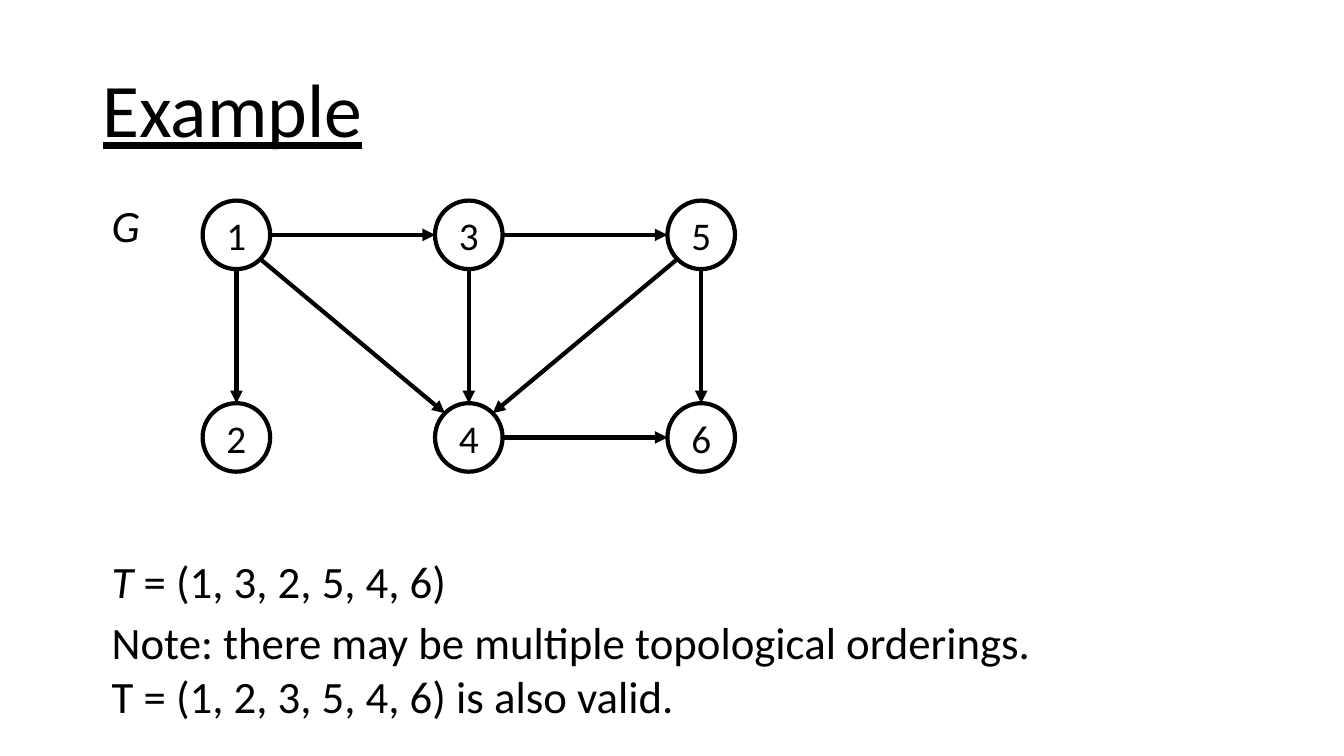
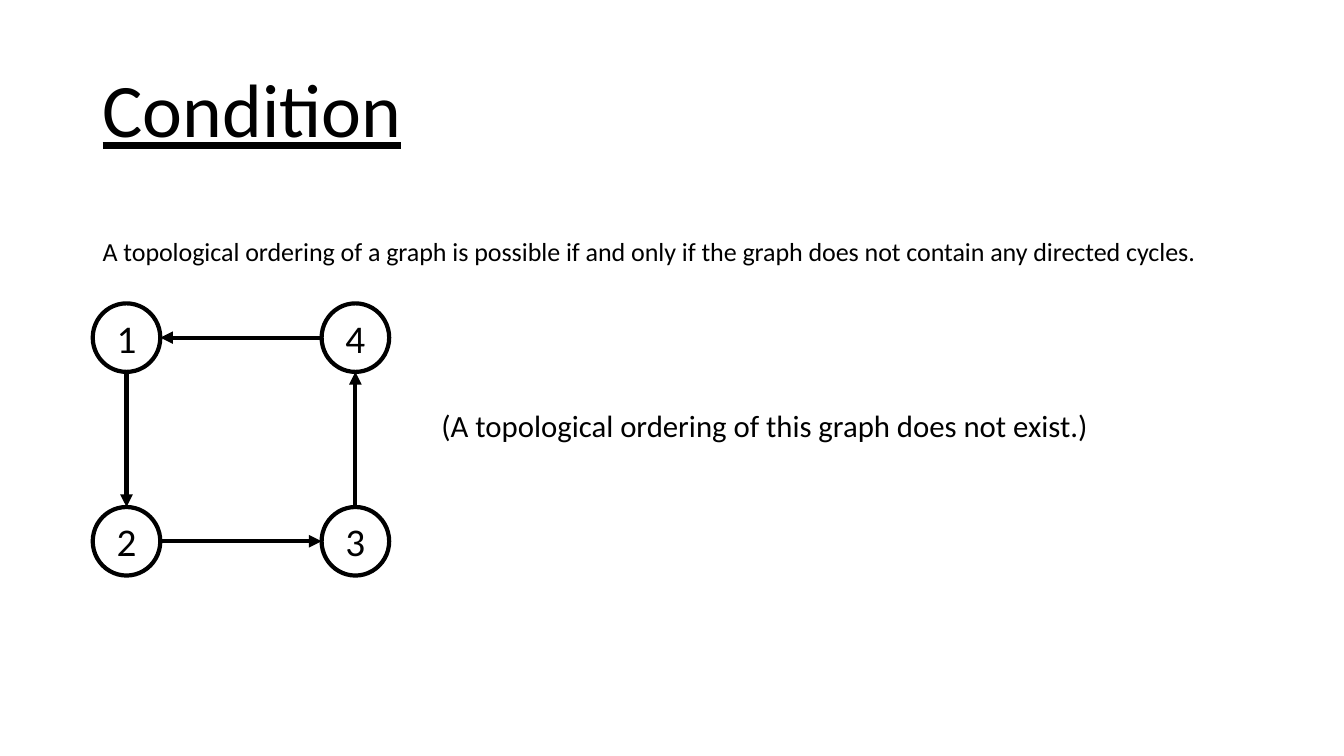
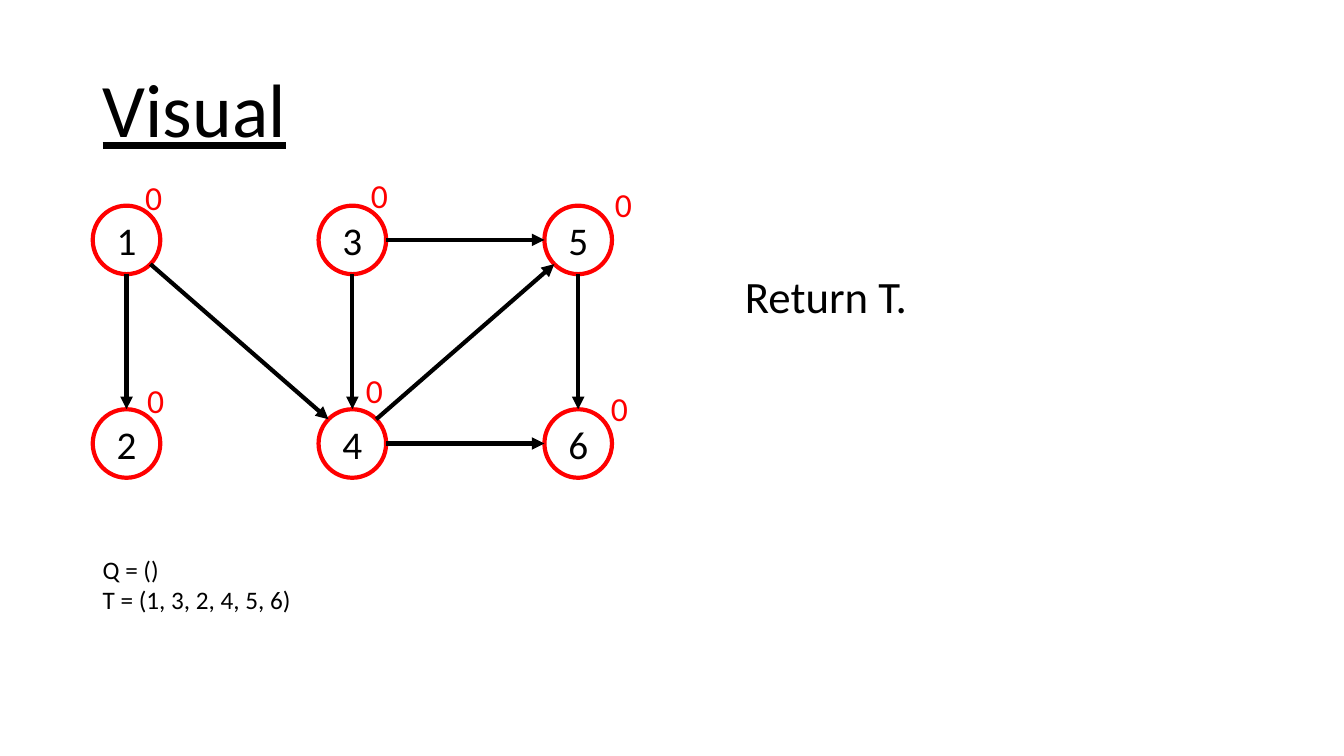
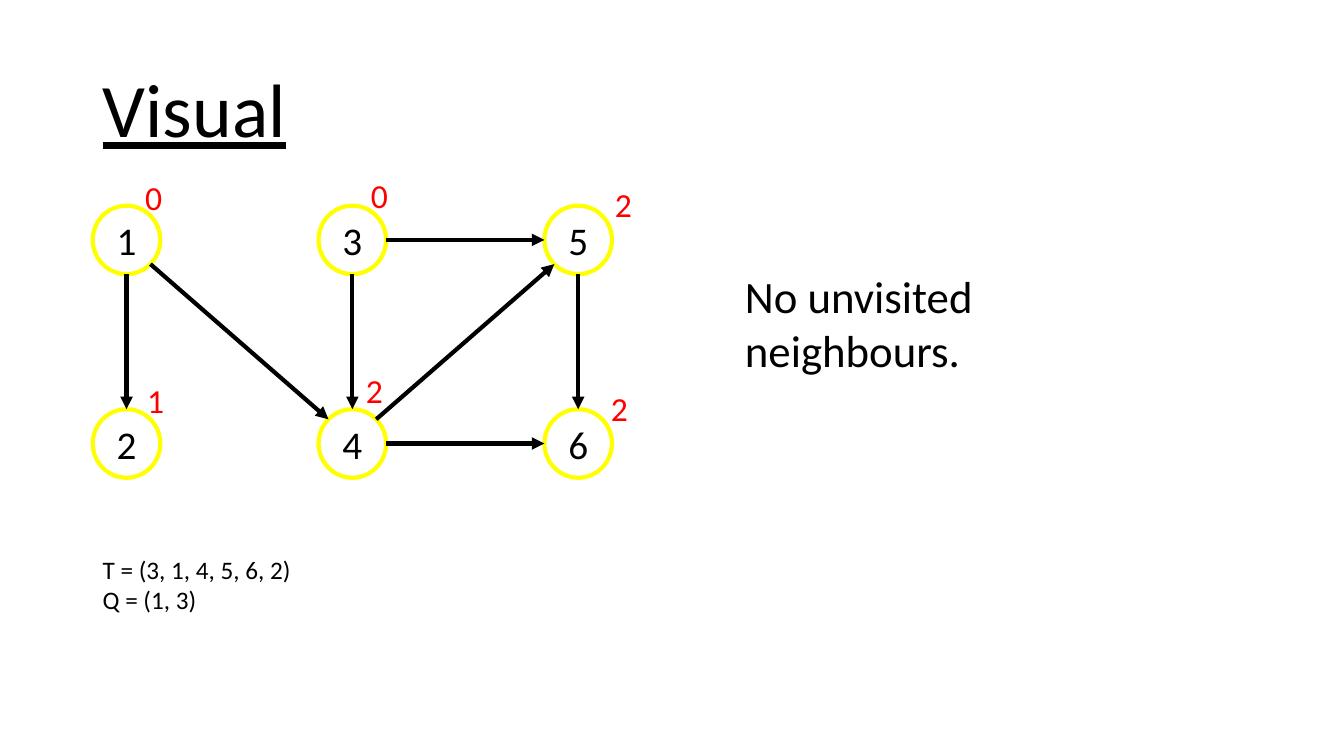
from math import hypot

from lxml.etree import SubElement
from pptx import Presentation
from pptx.dml.color import RGBColor
from pptx.enum.shapes import MSO_CONNECTOR, MSO_SHAPE
from pptx.enum.text import MSO_ANCHOR, MSO_AUTO_SIZE, PP_ALIGN
from pptx.oxml.ns import qn
from pptx.util import Inches, Pt

BLACK = RGBColor(0x00, 0x00, 0x00)
WHITE = RGBColor(0xFF, 0xFF, 0xFF)
RED = RGBColor(0xFF, 0x00, 0x00)
YELLOW = RGBColor(0xFF, 0xFF, 0x00)

FONT = "Calibri"
NODE_WIDTH, NODE_HEIGHT = 0.67, 0.68
STROKE = Pt(3)
DEGREE_SPOTS = {1: (1.34, 1.71), 2: (1.36, 3.72), 3: (3.58, 1.69),
                4: (3.53, 3.62), 5: (6, 1.78), 6: (5.96, 3.8)}
SIX_NODES = {1: (0, 0), 2: (0, 1), 3: (1, 0), 4: (1, 1), 5: (2, 0), 6: (2, 1)}
SQUARE_NODES = {1: (0, 0), 2: (0, 1), 3: (1, 1), 4: (1, 0)}


def sign(value):
    return (value > 0) - (value < 0)


class Deck:
    def __init__(self):
        self.presentation = Presentation()
        self.presentation.slide_width = Inches(13.33)
        self.presentation.slide_height = Inches(7.5)
        self.slide = None

    def new_slide(self, title):
        self.slide = self.presentation.slides.add_slide(self.presentation.slide_layouts[6])
        heading = self.text(0.92, 0.4, 11.5, 1.45, [title], 54, grow=False)
        heading.vertical_anchor = MSO_ANCHOR.MIDDLE
        heading.paragraphs[0].line_spacing = 0.9
        heading.paragraphs[0].runs[0].font.underline = True

    def add_run(self, paragraph, words, size, color=BLACK, italic=False):
        run = paragraph.add_run()
        run.text = words
        run.font.name = FONT
        run.font.size = Pt(size)
        run.font.color.rgb = color
        if italic:
            run.font.italic = True

    def text(self, left, top, width, height, lines, size, color=BLACK, symbol="", grow=True):
        box = self.slide.shapes.add_textbox(
            Inches(left), Inches(top), Inches(width), Inches(height))
        frame = box.text_frame
        frame.word_wrap = True
        frame.auto_size = MSO_AUTO_SIZE.SHAPE_TO_FIT_TEXT if grow else MSO_AUTO_SIZE.NONE
        if symbol:
            self.add_run(frame.paragraphs[0], symbol, size, color, italic=True)
        for index, line in enumerate(lines):
            paragraph = frame.add_paragraph() if index else frame.paragraphs[0]
            self.add_run(paragraph, line, size, color)
        return frame

    def node(self, left, top, label, outline):
        circle = self.slide.shapes.add_shape(
            MSO_SHAPE.OVAL, Inches(left), Inches(top), Inches(NODE_WIDTH), Inches(NODE_HEIGHT))
        circle.shadow.inherit = False
        circle.fill.solid()
        circle.fill.fore_color.rgb = WHITE
        circle.line.color.rgb = outline
        circle.line.width = STROKE
        circle.text_frame.vertical_anchor = MSO_ANCHOR.MIDDLE
        paragraph = circle.text_frame.paragraphs[0]
        paragraph.alignment = PP_ALIGN.CENTER
        self.add_run(paragraph, label, 28)

    def arrow(self, start, end):
        line = self.slide.shapes.add_connector(
            MSO_CONNECTOR.STRAIGHT, *[Inches(length) for length in (*start, *end)])
        line.line.color.rgb = BLACK
        line.line.width = STROKE
        properties = line._element.spPr
        SubElement(properties.find(qn("a:ln")), qn("a:tailEnd"), type="triangle")
        SubElement(properties, qn("a:effectLst"))

    def graph(self, origin, pitch, cells, edges, outline=BLACK):
        corners = {number: [origin[axis] + cell[axis] * pitch[axis] for axis in (0, 1)]
                   for number, cell in cells.items()}
        for number, (left, top) in corners.items():
            self.node(left, top, str(number), outline)
        for source, target in edges:
            across, down = [sign(cells[target][axis] - cells[source][axis]) for axis in (0, 1)]
            reach = hypot(across, down)
            offset_x = across / reach * NODE_WIDTH / 2
            offset_y = down / reach * NODE_HEIGHT / 2
            (start_x, start_y), (end_x, end_y) = [
                (corners[number][0] + NODE_WIDTH / 2, corners[number][1] + NODE_HEIGHT / 2)
                for number in (source, target)]
            self.arrow((start_x + offset_x, start_y + offset_y),
                       (end_x - offset_x, end_y - offset_y))

    def visual(self, outline, degrees, state, remark):
        self.new_slide("Visual")
        self.graph((0.92, 2.04), (2.24, 2.02), SIX_NODES,
                   [(1, 2), (1, 4), (3, 5), (3, 4), (4, 6), (5, 6), (4, 5)], outline)
        for number, (left, top) in DEGREE_SPOTS.items():
            self.text(left, top, 0.48, 0.5, [degrees[number - 1]], 24, RED)
        self.text(0.92, 5.45, 3.14, 0.71, state, 18)
        self.text(7.29, 2.62, 4.45, 0.64, [remark], 32)


deck = Deck()

deck.new_slide("Example")
deck.graph((2.01, 1.99), (2.305, 2.01), SIX_NODES,
           [(1, 2), (1, 3), (1, 4), (3, 4), (3, 5), (5, 6), (4, 6), (5, 4)])
deck.text(1.01, 1.91, 0.59, 0.64, [], 32, symbol="G")
deck.text(1.01, 5.44, 3.53, 0.64, [" = (1, 3, 2, 5, 4, 6)"], 32, symbol="T")
deck.text(1.01, 6.05, 10.5, 1.18,
          ["Note: there may be multiple topological orderings.",
           "T = (1, 2, 3, 5, 4, 6) is also valid."], 32)

deck.new_slide("Condition")
condition = deck.text(
    0.92, 2, 11.5, 4.76,
    ["A topological ordering of a graph is possible if and only if "
     "the graph does not contain any directed cycles."], 32, grow=False).paragraphs[0]
condition.line_spacing = 0.9
condition.space_before = Pt(10)
condition.runs[0]._r.get_or_add_rPr().set("baseline", "-25000")
deck.graph((0.92, 3.01), (2.27, 2.02), SQUARE_NODES, [(1, 2), (2, 3), (3, 4), (4, 1)])
deck.text(4.28, 3.99, 7.14, 0.47, ["(A topological ordering of this graph does not exist.)"], 22)

deck.visual(RED, "000000", ["Q = ()", "T = (1, 3, 2, 4, 5, 6)"], "Return T.")
deck.visual(YELLOW, "010222", ["T = (3, 1, 4, 5, 6, 2)", "Q = (1, 3)"],
            "No unvisited neighbours.")

deck.presentation.save("out.pptx")
